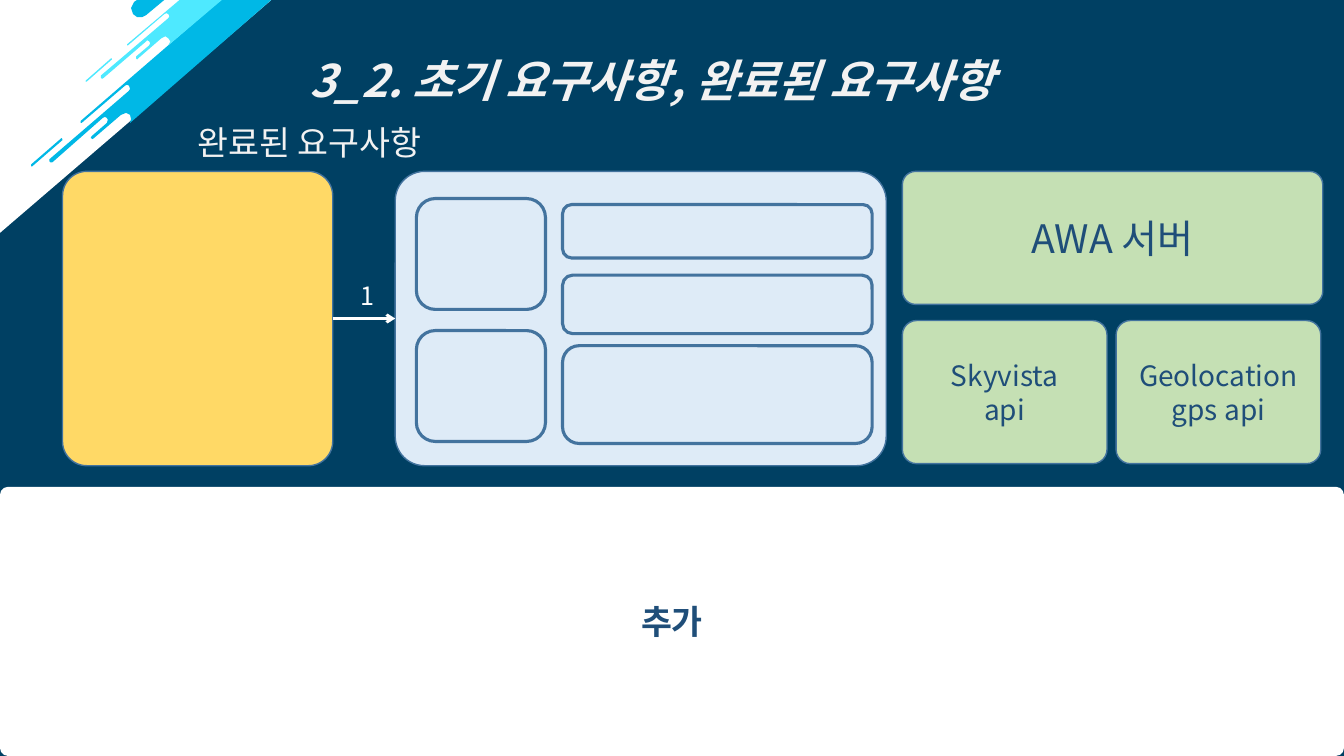
from dataclasses import dataclass

from lxml.etree import SubElement
from pptx import Presentation
from pptx.dml.color import RGBColor
from pptx.enum.shapes import MSO_CONNECTOR, MSO_SHAPE
from pptx.enum.text import MSO_ANCHOR, MSO_AUTO_SIZE, PP_ALIGN
from pptx.oxml.ns import qn
from pptx.util import Inches, Pt

NAVY = RGBColor(0x00, 0x40, 0x63)
WHITE = RGBColor(0xFF, 0xFF, 0xFF)
OFF_WHITE = RGBColor(0xF2, 0xF2, 0xF2)
CYAN = RGBColor(0x00, 0xB8, 0xE6)
LIGHT_CYAN = RGBColor(0x4E, 0xE9, 0xFF)
PALE_BLUE = RGBColor(0xDE, 0xEB, 0xF7)
YELLOW = RGBColor(0xFF, 0xD9, 0x66)
GREEN = RGBColor(0xC5, 0xE0, 0xB4)
OUTLINE = RGBColor(0x43, 0x73, 0x9E)
TEXT_BLUE = RGBColor(0x1F, 0x4E, 0x79)
FONT = "Noto Sans CJK KR"

# The page is a fine grid of square cells
COLUMNS, ROWS = 1333, 750
CELL = Inches(0.01)

Contour = list[tuple[int, int]]


@dataclass(frozen=True)
class Box:
    left: int
    top: int
    width: int
    height: int

    def place(self) -> tuple[int, int, int, int]:
        return (self.left * CELL, self.top * CELL,
                self.width * CELL, self.height * CELL)


@dataclass(frozen=True)
class Style:
    size: float
    color: RGBColor
    bold: bool = False
    italic: bool = False
    spacing: float = 1.0


@dataclass(frozen=True)
class Panel:
    box: Box
    fill: RGBColor
    corner: float
    line: float = 1
    lines: tuple[str, ...] = ()
    style: Style = Style(20, TEXT_BLUE)


@dataclass(frozen=True)
class Label:
    box: Box
    text: str
    style: Style


def write(frame, lines: tuple[str, ...], style: Style, align: PP_ALIGN) -> None:
    frame.word_wrap = True
    for index, line in enumerate(lines):
        para = frame.add_paragraph() if index else frame.paragraphs[0]
        para.text = line
        para.alignment = align
        para.line_spacing = style.spacing
        font = para.font
        font.name, font.size = FONT, Pt(style.size)
        font.bold, font.italic = style.bold, style.italic
        font.color.rgb = style.color
        for span in para.runs:
            east_asian = SubElement(span.font._element, qn("a:ea"))
            east_asian.set("typeface", FONT)


def paint(shape, fill: RGBColor, line: float = 0) -> None:
    shape.shadow.inherit = False
    shape.fill.solid()
    shape.fill.fore_color.rgb = fill
    if line:
        shape.line.color.rgb = OUTLINE
        shape.line.width = Pt(line)
    else:
        shape.line.fill.background()


def add_panel(page, panel: Panel) -> None:
    shape = page.shapes.add_shape(MSO_SHAPE.ROUNDED_RECTANGLE, *panel.box.place())
    shape.adjustments[0] = panel.corner
    paint(shape, panel.fill, panel.line)
    shape.text_frame.vertical_anchor = MSO_ANCHOR.MIDDLE
    write(shape.text_frame, panel.lines, panel.style, PP_ALIGN.CENTER)


def add_label(page, label: Label) -> None:
    frame = page.shapes.add_textbox(*label.box.place()).text_frame
    write(frame, (label.text,), label.style, PP_ALIGN.LEFT)
    frame.auto_size = MSO_AUTO_SIZE.SHAPE_TO_FIT_TEXT


def add_streaks(page, contours: list[Contour], fill: RGBColor) -> None:
    builder = page.shapes.build_freeform(*contours[0][0], scale=CELL)
    for index, contour in enumerate(contours):
        if index:
            builder.move_to(*contour[0])
        builder.add_line_segments(contour[1:], close=True)
    paint(builder.convert_to_shape(), fill)


def add_arrow(page, left: int, right: int, row: int) -> None:
    arrow = page.shapes.add_connector(
        MSO_CONNECTOR.STRAIGHT, left * CELL, row * CELL, right * CELL, row * CELL)
    arrow.line.color.rgb = WHITE
    arrow.line.width = Pt(2)
    SubElement(arrow.line._get_or_add_ln(), qn("a:tailEnd")).set("type", "arrow")
    SubElement(arrow._element.spPr, qn("a:effectLst"))


# Corner decoration: a thin loose streak, then the band with streaks cut in
CYAN_STREAKS: list[Contour] = [
    [(61, 137), (62, 138), (62, 139), (32, 165), (31, 165), (31, 163)],
    [(219, 0), (269, 0), (129, 122), (130, 118), (129, 114), (125, 112),
     (120, 114), (92, 138), (90, 137), (91, 135), (106, 122), (107, 119),
     (106, 117), (104, 116), (102, 117), (52, 161), (50, 161), (49, 160),
     (49, 158), (128, 90), (129, 88), (128, 85), (126, 84), (124, 85),
     (81, 122), (80, 122), (80, 120)],
]
LIGHT_STREAKS: list[Contour] = [
    [(111, 58), (111, 59), (86, 81), (85, 81), (85, 80), (110, 58)],
    [(178, 0), (220, 0), (167, 45), (169, 41), (167, 38), (164, 36),
     (160, 38), (137, 58), (136, 59), (135, 58), (135, 56), (148, 45),
     (149, 43), (148, 41), (146, 40), (145, 41), (102, 78), (101, 78),
     (100, 77), (100, 75), (167, 18), (168, 16), (167, 14), (165, 13),
     (163, 14), (127, 45), (126, 45), (126, 44)],
]
CAPSULE: list[Contour] = [
    [(136, 0), (163, 0), (145, 15), (141, 17), (136, 17), (132, 14),
     (130, 8), (133, 2)],
]

# Panels
TOP, HEIGHT = 170, 292
SERVER_LEFT, API_WIDTH, API_STEP = 895, 203, 212
API_LINES = [("Skyvista", "api"), ("Geolocation", "gps api")]
MODULE_ROWS = [(203, 53), (273, 58), (343, 97)]

PANELS = [
    Panel(Box(0, 483, COLUMNS, ROWS - 483), WHITE, 0.03, 0, ("추가",),
          Style(24, TEXT_BLUE, bold=True)),
    Panel(Box(392, TOP, 487, HEIGHT), PALE_BLUE, 0.1),
    Panel(Box(62, TOP, 268, HEIGHT), YELLOW, 0.09),
    Panel(Box(SERVER_LEFT, TOP, 417, 132), GREEN, 0.1, 1, ("AWA 서버",),
          Style(28, TEXT_BLUE)),
    *(Panel(Box(SERVER_LEFT + index * API_STEP, 318, API_WIDTH, 142), GREEN, 0.1,
            lines=lines) for index, lines in enumerate(API_LINES)),
    *(Panel(Box(413, top, 128, 110), PALE_BLUE, 0.17, 2.25) for top in (197, 328)),
    *(Panel(Box(558, top, 307, height), PALE_BLUE, 0.17, 2.25)
      for top, height in MODULE_ROWS),
]

LABELS = [
    Label(Box(297, 21, 788, 91), "3_2. 초기 요구사항, 완료된 요구사항",
          Style(32, OFF_WHITE, bold=True, italic=True, spacing=1.5)),
    Label(Box(186, 96, 281, 71), "완료된 요구사항",
          Style(24, OFF_WHITE, spacing=1.5)),
    Label(Box(348, 273, 52, 40), "1", Style(18, WHITE)),
]

deck = Presentation()
deck.slide_width, deck.slide_height = COLUMNS * CELL, ROWS * CELL
page = deck.slides.add_slide(deck.slide_layouts[6])
page.background.fill.solid()
page.background.fill.fore_color.rgb = NAVY

# Corner
add_streaks(page, [[(0, 0), (269, 0), (0, 231)]], WHITE)
add_streaks(page, CYAN_STREAKS, CYAN)
add_streaks(page, LIGHT_STREAKS, LIGHT_CYAN)
add_streaks(page, CAPSULE, CYAN)

# Diagram and text
for panel in PANELS:
    add_panel(page, panel)
add_arrow(page, 330, 392, 316)
for label in LABELS:
    add_label(page, label)

deck.save("out.pptx")
